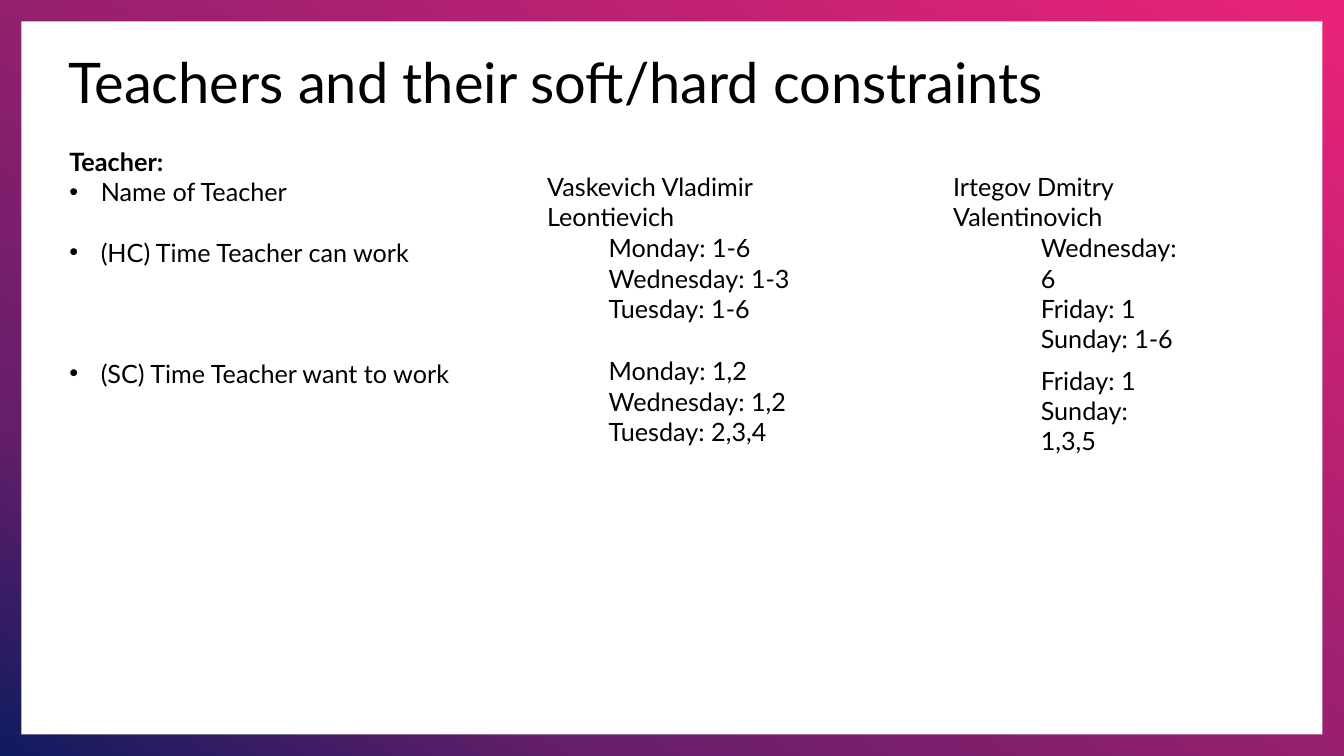
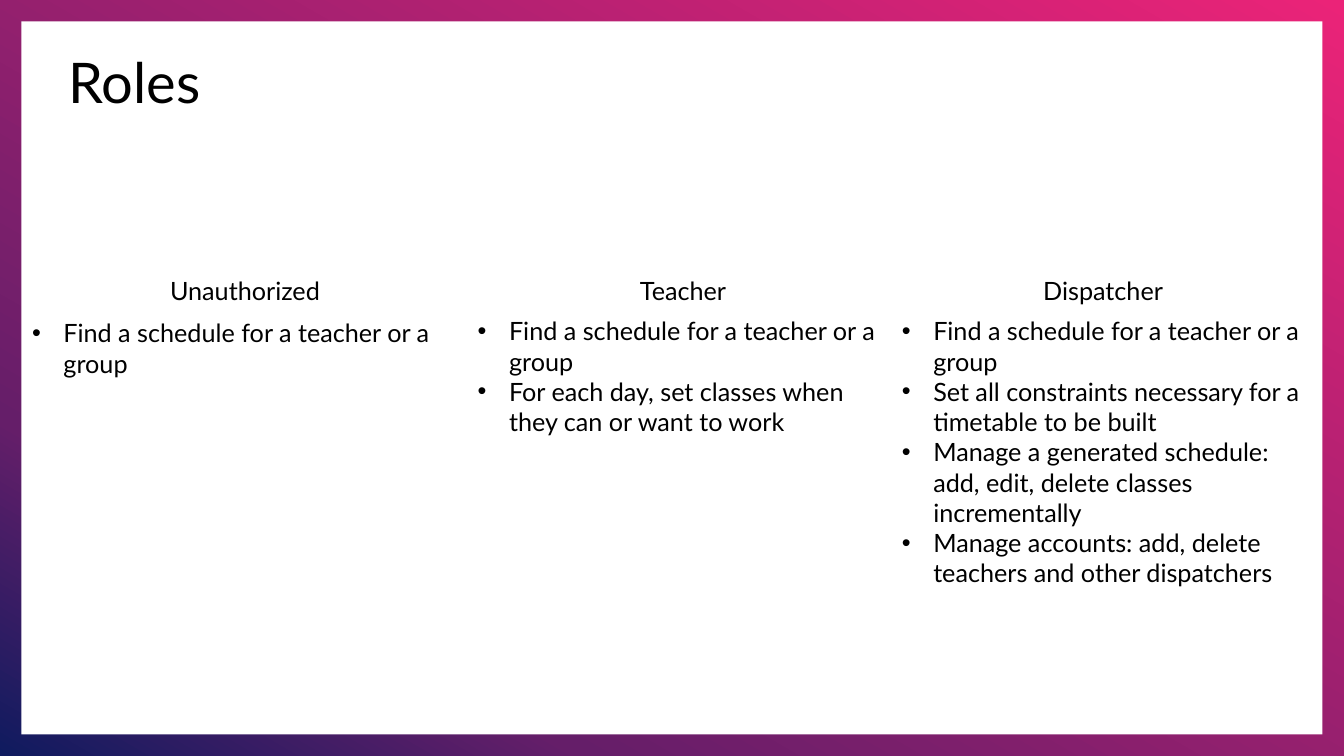
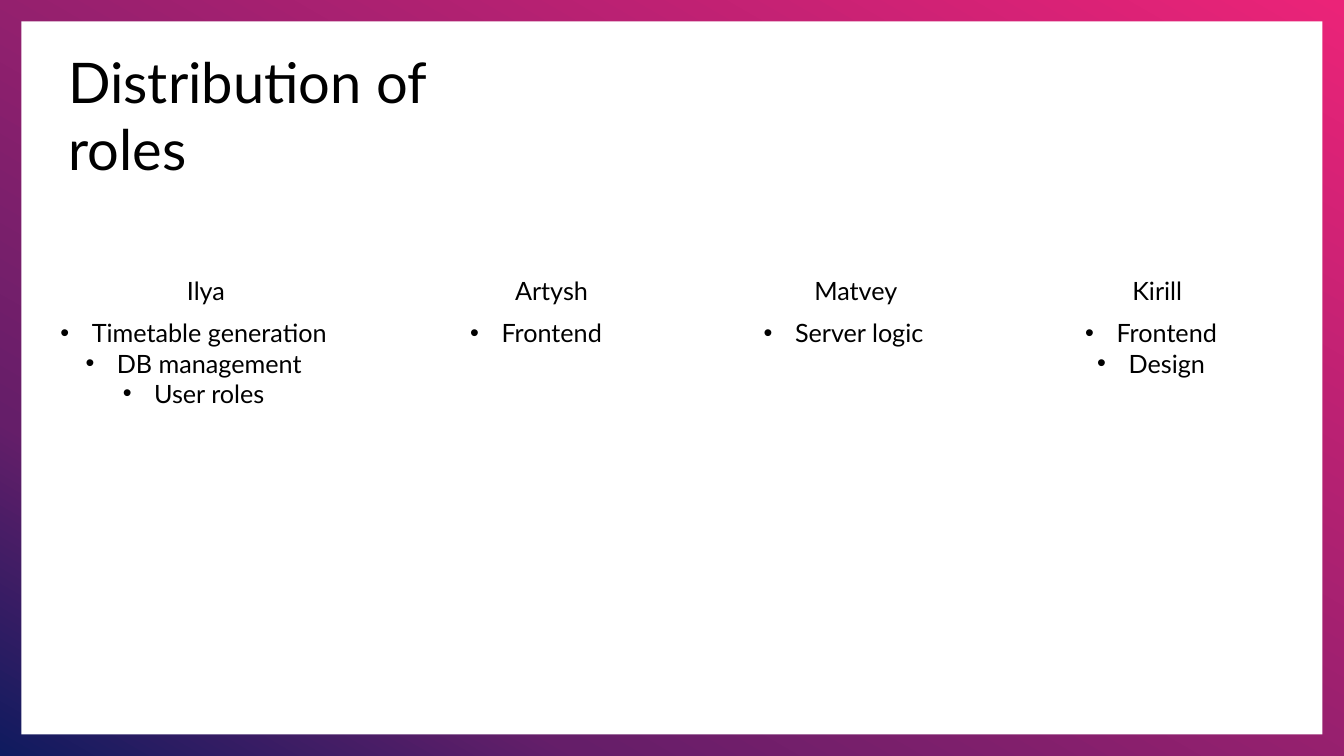
from dataclasses import dataclass

import pptx
import pptx.dml.color
import pptx.enum.shapes
import pptx.enum.text
import pptx.oxml.ns
import pptx.util
from lxml import etree

Cm = pptx.util.Cm
Pt = pptx.util.Pt
RGB = pptx.dml.color.RGBColor.from_string
qn = pptx.oxml.ns.qn
ALIGN = pptx.enum.text.PP_ALIGN


@dataclass(frozen=True)
class Theme:
    font: str = "Lato"
    ink: str = "000000"
    paper: str = "FFFFFF"
    border: tuple = ((0, "0F1B5F"), (22, "651E69"), (100, "EB2378"))
    border_angle: int = 60
    border_width: float = 0.54
    title_size: int = 40
    body_size: int = 18
    line: float = 0.77
    padding: float = 0.25
    indent: float = 0.79
    width: float = 33.87
    height: float = 19.05


THEME = Theme()


def style(paragraph, size=THEME.body_size, bold=False):
    paragraph.font.name = THEME.font
    paragraph.font.size = Pt(size)
    paragraph.font.bold = bold
    paragraph.font.color.rgb = RGB(THEME.ink)


def indent(paragraph, left, first=0):
    properties = paragraph._p.get_or_add_pPr()
    properties.set("marL", str(Cm(left)))
    properties.set("indent", str(Cm(first)))
    return properties


def bullet(paragraph):
    properties = indent(paragraph, THEME.indent, -THEME.indent)
    etree.SubElement(properties, qn("a:buFont")).set("typeface", "Arial")
    etree.SubElement(properties, qn("a:buChar")).set("char", "•")


def text_block(slide, left, top, width, lines, rows=None, align=ALIGN.LEFT, bulleted=False):
    height = (rows or len(lines)) * THEME.line + THEME.padding
    frame = slide.shapes.add_textbox(Cm(left), Cm(top), Cm(width), Cm(height)).text_frame
    frame.word_wrap = True
    frame.text = "\n".join(lines)
    for paragraph in frame.paragraphs:
        style(paragraph)
        paragraph.alignment = align
        if bulleted:
            bullet(paragraph)
    return frame.paragraphs


def panel(slide, inset):
    shape = slide.shapes.add_shape(
        pptx.enum.shapes.MSO_SHAPE.RECTANGLE, Cm(inset), Cm(inset),
        Cm(THEME.width - 2 * inset), Cm(THEME.height - 2 * inset))
    shape.shadow.inherit = False
    shape.line.fill.background()
    return shape


def frame_slide(slide):
    border = panel(slide, 0)
    border.fill.gradient()
    border.fill.gradient_angle = THEME.border_angle
    stops = border.element.spPr.find(".//" + qn("a:gsLst"))
    for stop in list(stops):
        stops.remove(stop)
    for position, color in THEME.border:
        stop = etree.SubElement(stops, qn("a:gs"), pos=str(position * 1000))
        etree.SubElement(stop, qn("a:srgbClr"), val=color)
    page = panel(slide, THEME.border_width)
    page.fill.solid()
    page.fill.fore_color.rgb = RGB(THEME.paper)


def titled_slide(deck, heading, width):
    slide = deck.slides.add_slide(deck.slide_layouts[5])
    frame_slide(slide)
    title = slide.shapes.title
    slide.shapes.element.append(title.element)
    title.left, title.top, title.width, title.height = Cm(1.47), Cm(1.07), Cm(width), Cm(1.96)
    frame = title.text_frame
    frame.text = heading
    frame.word_wrap = True
    frame.auto_size = pptx.enum.text.MSO_AUTO_SIZE.NONE
    frame.vertical_anchor = pptx.enum.text.MSO_ANCHOR.TOP
    style(frame.paragraphs[0], THEME.title_size)
    frame.paragraphs[0].alignment = ALIGN.LEFT
    return slide


def constraint_legend(slide, left, top, width):
    label, *fields = text_block(slide, left, top, width, [
        "Teacher:", "Name of Teacher", "(HC) Time Teacher can work",
        "(SC) Time Teacher want to work"], rows=8)
    style(label, bold=True)
    for field, skipped_lines in zip(fields, (0, 1, 3)):
        bullet(field)
        field.space_before = Pt(skipped_lines * THEME.body_size * 1.2)


def teacher_column(slide, left, top, name, name_width, times_offset, can_work, want_work):
    text_block(slide, left, top, name_width, [name])
    for offset, width, times in (can_work, want_work):
        text_block(slide, left + times_offset, top + offset, width, times)


def role_column(slide, left, top, width, role, tasks, list_left=None, list_width=None,
                list_offset=1.07, rows=None, align=ALIGN.LEFT, shift=0):
    heading = text_block(slide, left, top, width, [role], align=ALIGN.CENTER)[0]
    indent(heading, shift)
    text_block(slide, list_left or left, top + list_offset, list_width or width,
               tasks, rows, align, bulleted=True)


def constraints_slide(deck):
    slide = titled_slide(deck, "Teachers and their soft/hard constraints", 25.53)
    constraint_legend(slide, 1.5, 3.56, 10.29)
    teacher_column(
        slide, 13.54, 4.19, "Vaskevich Vladimir Leontievich", 8.69, 1.55,
        (1.55, 6.88, ["Monday: 1-6", "Wednesday: 1-3", "Tuesday: 1-6"]),
        (4.65, 6.88, ["Monday: 1,2", "Wednesday: 1,2", "Tuesday: 2,3,4"]))
    teacher_column(
        slide, 23.77, 4.19, "Irtegov Dmitry Valentinovich", 8.03, 2.21,
        (1.55, 4.3, ["Wednesday: 6", "Friday: 1", "Sunday: 1-6"]),
        (4.88, 3.91, ["Friday: 1", "Sunday: 1,3,5"]))


def roles_slide(deck):
    slide = titled_slide(deck, "Roles", 3.84)
    find = "Find a schedule for a teacher or a group"
    top = 6.81
    role_column(slide, 0.56, top, 11.23, "Unauthorized", [find], rows=2)
    role_column(slide, 11.79, top, 10.85, "Teacher", [
        find, "For each day, set classes when they can or want to work"],
        list_offset=1.02, rows=4)
    role_column(slide, 22.63, top, 10.34, "Dispatcher", [
        find,
        "Set all constraints necessary for a timetable to be built",
        "Manage a generated schedule: add, edit, delete classes incrementally",
        "Manage accounts: add, delete teachers and other dispatchers"],
        list_left=22.48, list_width=10.85, list_offset=1.02, rows=8)


def distribution_slide(deck):
    slide = titled_slide(deck, "Distribution of roles", 12.7)
    members = (
        (0.56, "Ilya", 0.62, ["Timetable generation", "DB management", "User roles"]),
        (9.19, "Artysh", 0.78, ["Frontend"]),
        (16.94, "Matvey", 0.62, ["Server logic"]),
        (24.69, "Kirill", 0.31, ["Frontend", "Design"]),
    )
    for left, member, shift, tasks in members:
        role_column(slide, left, 6.81, 8.64, member, tasks, align=ALIGN.CENTER, shift=shift)


deck = pptx.Presentation()
deck.slide_width, deck.slide_height = Cm(THEME.width), Cm(THEME.height)
constraints_slide(deck)
roles_slide(deck)
distribution_slide(deck)
deck.save("out.pptx")
